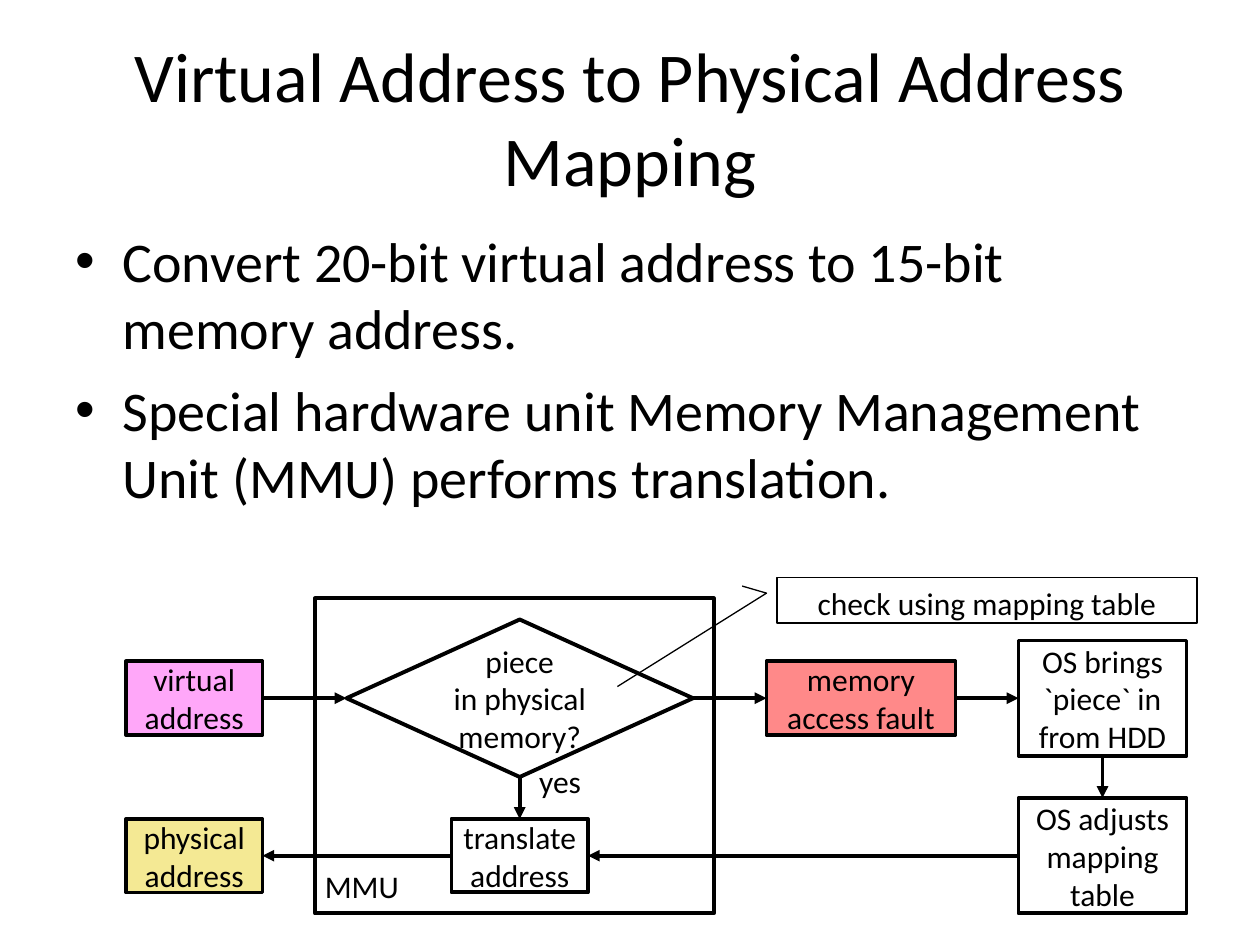
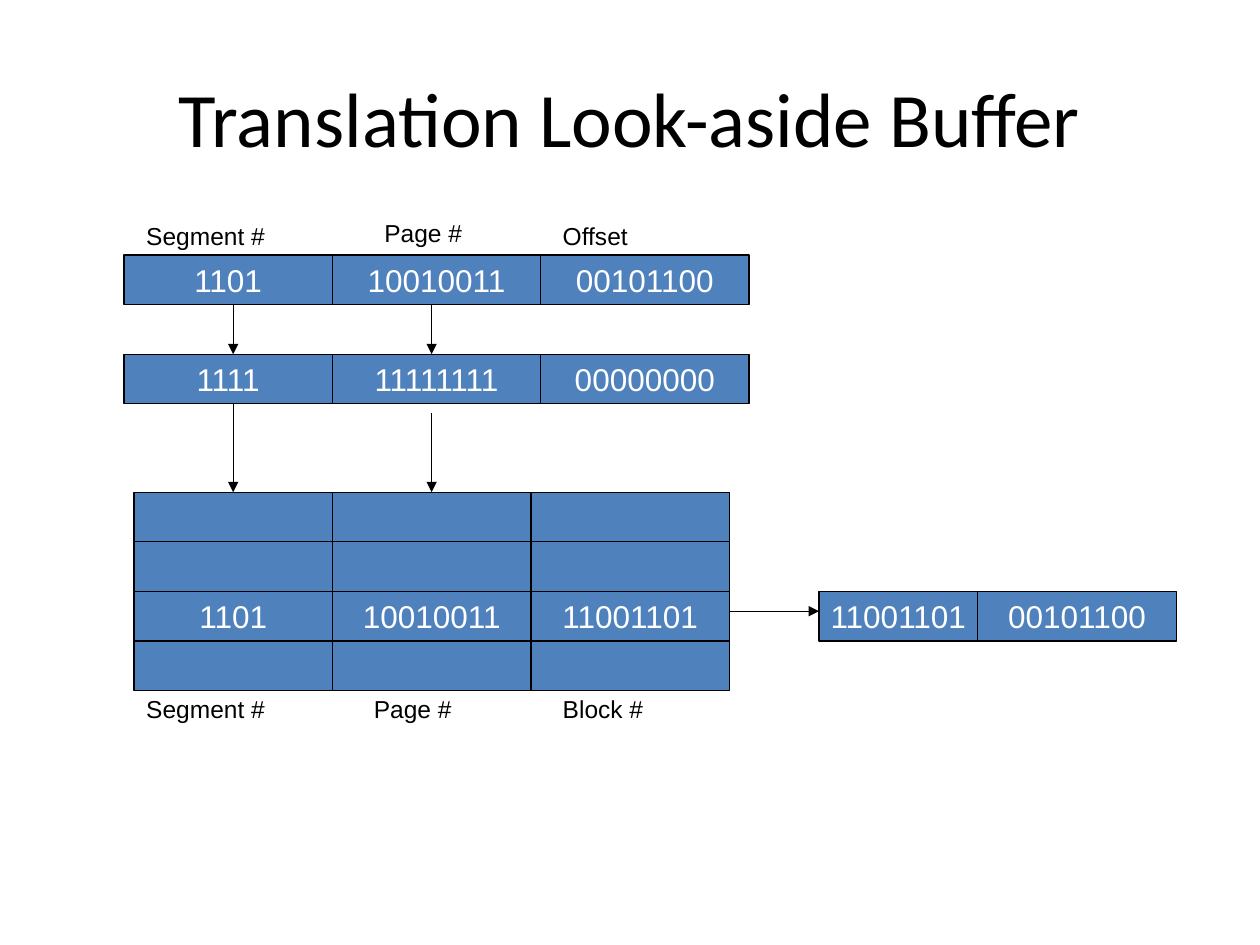
from dataclasses import dataclass

from lxml import etree
from pptx import Presentation
from pptx.dml.color import RGBColor
from pptx.enum.shapes import MSO_CONNECTOR, MSO_SHAPE
from pptx.enum.text import MSO_ANCHOR, MSO_AUTO_SIZE, PP_ALIGN
from pptx.oxml.ns import qn
from pptx.shapes.autoshape import Shape
from pptx.shapes.connector import Connector
from pptx.slide import Slide
from pptx.text.text import TextFrame
from pptx.util import Pt

BLACK = RGBColor(0x00, 0x00, 0x00)
WHITE = RGBColor(0xFF, 0xFF, 0xFF)
PINK = RGBColor(0xFF, 0xA7, 0xF9)
RED = RGBColor(0xFF, 0x89, 0x89)
YELLOW = RGBColor(0xF4, 0xE9, 0x94)
BLUE = RGBColor(0x4F, 0x81, 0xBD)

RECTANGLE = MSO_SHAPE.RECTANGLE
PROCESS = MSO_SHAPE.FLOWCHART_PROCESS
DECISION = MSO_SHAPE.FLOWCHART_DECISION
CALLOUT = MSO_SHAPE.LINE_CALLOUT_2
STRAIGHT = MSO_CONNECTOR.STRAIGHT
LEFT, CENTER = PP_ALIGN.LEFT, PP_ALIGN.CENTER
TOP, MIDDLE = MSO_ANCHOR.TOP, MSO_ANCHOR.MIDDLE
NO_AUTOFIT = MSO_AUTO_SIZE.NONE
TOP_SIDE, LEFT_SIDE, BOTTOM_SIDE, RIGHT_SIDE = range(4)

TITLE_ONLY = 5
THICK, THIN = 2.25, 0.75

# Address fields and buffer rows on the second slide
CELL_HEIGHT = 28.35
FIELD_LEFT, FIELD_WIDTH = 70.85, 119.05
BUFFER_LEFT, BUFFER_WIDTH = 76.55, 113.4
ADDRESS_TOP, MASK_TOP, BUFFER_TOP = 145.75, 202.45, 281.3
MATCH_ROW = 2
RESULT_LEFT, RESULT_WIDTH = 468, 90.7


@dataclass(frozen=True)
class TextStyle:
    font: str
    size: float
    color: RGBColor = BLACK
    align: PP_ALIGN = CENTER
    anchor: MSO_ANCHOR = MIDDLE
    wrap: bool = False


@dataclass(frozen=True)
class Box:
    left: float
    top: float
    width: float
    height: float
    text: str = ""
    fill: RGBColor = WHITE
    kind: MSO_SHAPE = PROCESS
    line: float = THICK


@dataclass(frozen=True)
class Label:
    left: float
    top: float
    width: float
    height: float
    text: str


@dataclass(frozen=True)
class Flow:
    source: str
    source_side: int
    target: str
    target_side: int


STEP = TextStyle("Calibri", 18)
NOTE = TextStyle("Calibri", 18, anchor=TOP, wrap=True)
FLOW_LABEL = TextStyle("Calibri", 18, align=LEFT, anchor=TOP)
BODY = TextStyle("Calibri", 32, align=LEFT, anchor=TOP, wrap=True)
BITS = TextStyle("Arial", 18, color=WHITE)
FIELD_LABEL = TextStyle("Arial", 14, align=LEFT, anchor=TOP, wrap=True)

POINTS = (
    "Convert 20-bit virtual address to 15-bit memory address.",
    "Special hardware unit Memory Management Unit (MMU) performs translation.",
)

MMU_FRAME = Box(180, 342, 228, 180, kind=RECTANGLE)
STEPS = {
    "virtual": Box(72, 378, 78, 42, "virtual\naddress", PINK),
    "check": Box(198, 354, 198, 90, "piece\nin physical\nmemory?", kind=DECISION),
    "fault": Box(438, 378, 108, 42, "memory\naccess fault", RED),
    "fetch": Box(582, 366, 96, 66, "OS brings\n`piece` in\nfrom HDD"),
    "physical": Box(72, 468, 78, 42, "physical\naddress", YELLOW),
    "adjust": Box(582, 456, 96, 66, "OS adjusts\nmapping\ntable"),
    "translate": Box(258, 468, 78, 42, "translate\naddress", kind=RECTANGLE),
}
FLOWS = (
    Flow("virtual", RIGHT_SIDE, "check", LEFT_SIDE),
    Flow("check", RIGHT_SIDE, "fault", LEFT_SIDE),
    Flow("fault", RIGHT_SIDE, "fetch", LEFT_SIDE),
    Flow("fetch", BOTTOM_SIDE, "adjust", TOP_SIDE),
    Flow("adjust", LEFT_SIDE, "translate", RIGHT_SIDE),
    Flow("check", BOTTOM_SIDE, "translate", TOP_SIDE),
    Flow("translate", LEFT_SIDE, "physical", RIGHT_SIDE),
)
FLOW_LABELS = (
    Label(178.5, 492, 57, 29, "MMU"),
    Label(301, 432, 38, 29, "yes"),
)
MAPPING_NOTE = Box(444, 330, 240, 26, "check using mapping table", kind=CALLOUT, line=THIN)
MAPPING_NOTE_POINTER = (0.188, -0.083, 0.344, -0.025, 2.397, -0.38)

BUFFER_ROWS = (
    ("", "", ""),
    ("", "", ""),
    ("1101", "10010011", "11001101"),
    ("", "", ""),
)
FIELD_LABELS = (
    Label(76.5, 122.5, 96.5, 24.5, "Segment #"),
    Label(212.5, 121, 73.5, 24.5, "Page #"),
    Label(314.5, 122.5, 96.5, 24.5, "Offset"),
    Label(76.5, 393, 96.5, 24.5, "Segment #"),
    Label(206.5, 393, 73.5, 24.5, "Page #"),
    Label(314.5, 393, 96.5, 24.5, "Block #"),
)


def write(frame: TextFrame, text: str, style: TextStyle) -> None:
    frame.text = text
    frame.auto_size = NO_AUTOFIT
    frame.word_wrap = style.wrap
    frame.vertical_anchor = style.anchor
    for paragraph in frame.paragraphs:
        paragraph.alignment = style.align
        for run in paragraph.runs:
            run.font.name = style.font
            run.font.size = Pt(style.size)
            run.font.color.rgb = style.color


def add_titled_slide(deck: Presentation, text: str, size: float) -> Slide:
    slide = deck.slides.add_slide(deck.slide_layouts[TITLE_ONLY])
    title = slide.shapes.title
    title.left, title.top = Pt(36), Pt(21.6)
    title.width, title.height = Pt(648), Pt(90)
    write(title.text_frame, text, TextStyle("Calibri", size, wrap=True))
    return slide


def add_box(slide: Slide, box: Box, style: TextStyle = STEP) -> Shape:
    shape = slide.shapes.add_shape(
        box.kind, Pt(box.left), Pt(box.top), Pt(box.width), Pt(box.height)
    )
    shape.shadow.inherit = False
    shape.fill.solid()
    shape.fill.fore_color.rgb = box.fill
    shape.line.color.rgb = BLACK
    shape.line.width = Pt(box.line)
    if box.text:
        write(shape.text_frame, box.text, style)
    return shape


def add_label(slide: Slide, label: Label, style: TextStyle) -> Shape:
    shape = slide.shapes.add_textbox(
        Pt(label.left), Pt(label.top), Pt(label.width), Pt(label.height)
    )
    write(shape.text_frame, label.text, style)
    return shape


def add_arrow(
    slide: Slide, width: float, x1: float = 0, y1: float = 0, x2: float = 0, y2: float = 0
) -> Connector:
    arrow = slide.shapes.add_connector(STRAIGHT, Pt(x1), Pt(y1), Pt(x2), Pt(y2))
    arrow.line.color.rgb = BLACK
    arrow.line.width = Pt(width)
    properties = arrow._element.spPr
    etree.SubElement(properties.find(qn("a:ln")), qn("a:tailEnd"), type="triangle")
    etree.SubElement(properties, qn("a:effectLst"))
    return arrow


def add_bullets(slide: Slide, points: tuple[str, ...]) -> None:
    body = add_label(slide, Label(36, 126, 648, 356.4, "\n".join(points)), BODY)
    for index, paragraph in enumerate(body.text_frame.paragraphs):
        properties = paragraph._p.get_or_add_pPr()
        properties.set("marL", str(Pt(27)))
        properties.set("indent", str(-Pt(27)))
        bullet_font = etree.SubElement(properties, qn("a:buFont"))
        bullet_font.set("typeface", "Arial")
        etree.SubElement(properties, qn("a:buChar"), char="•")
        if index:
            paragraph.space_before = Pt(8)


def add_bit_row(
    slide: Slide, left: float, top: float, widths: tuple[float, ...], values: tuple[str, ...]
) -> list[Shape]:
    cells = []
    for width, value in zip(widths, values):
        cell = Box(left, top, width, CELL_HEIGHT, value, BLUE, RECTANGLE, THIN)
        cells.append(add_box(slide, cell, BITS))
        left += width
    return cells


def build_mapping_slide(deck: Presentation) -> None:
    slide = add_titled_slide(deck, "Virtual Address to Physical Address Mapping", 40)
    add_bullets(slide, POINTS)

    # Flow chart of the translation
    add_box(slide, MMU_FRAME)
    steps = {name: add_box(slide, box) for name, box in STEPS.items()}
    for flow in FLOWS:
        arrow = add_arrow(slide, THICK)
        arrow.begin_connect(steps[flow.source], flow.source_side)
        arrow.end_connect(steps[flow.target], flow.target_side)
    for label in FLOW_LABELS:
        add_label(slide, label, FLOW_LABEL)

    # Callout pointing at the check
    note = add_box(slide, MAPPING_NOTE, NOTE)
    for index, value in enumerate(MAPPING_NOTE_POINTER):
        note.adjustments[index] = value


def build_buffer_slide(deck: Presentation) -> None:
    slide = add_titled_slide(deck, "Translation Look-aside Buffer", 44)

    # Address, mask and buffer
    field_widths = (FIELD_WIDTH,) * 3
    add_bit_row(slide, FIELD_LEFT, ADDRESS_TOP, field_widths, ("1101", "10010011", "00101100"))
    mask = add_bit_row(slide, FIELD_LEFT, MASK_TOP, field_widths, ("1111", "11111111", "00000000"))
    buffer = [
        add_bit_row(slide, BUFFER_LEFT, BUFFER_TOP + row * CELL_HEIGHT, (BUFFER_WIDTH,) * 3, values)
        for row, values in enumerate(BUFFER_ROWS)
    ]

    # Resulting physical address
    match_top = BUFFER_TOP + MATCH_ROW * CELL_HEIGHT
    result_widths = (RESULT_WIDTH, BUFFER_WIDTH)
    add_bit_row(slide, RESULT_LEFT, match_top, result_widths, ("11001101", "00101100"))

    # Arrows down the segment and page columns, then out to the result
    for column, lookup_start in enumerate((MASK_TOP + CELL_HEIGHT, 236.2)):
        x = BUFFER_LEFT + (column + 0.5) * BUFFER_WIDTH
        add_arrow(slide, THIN, x, ADDRESS_TOP + CELL_HEIGHT, x, MASK_TOP)
        lookup = add_arrow(slide, THIN, x, lookup_start, x, BUFFER_TOP)
        lookup.end_connect(buffer[0][column], TOP_SIDE)
    buffer_right = BUFFER_LEFT + 3 * BUFFER_WIDTH
    add_arrow(slide, THIN, buffer_right, 349.3, RESULT_LEFT, 349.3)

    for label in FIELD_LABELS:
        add_label(slide, label, FIELD_LABEL)


def main() -> None:
    deck = Presentation()
    deck.slide_width, deck.slide_height = Pt(720), Pt(540)
    build_mapping_slide(deck)
    build_buffer_slide(deck)
    deck.save("out.pptx")


if __name__ == "__main__":
    main()
